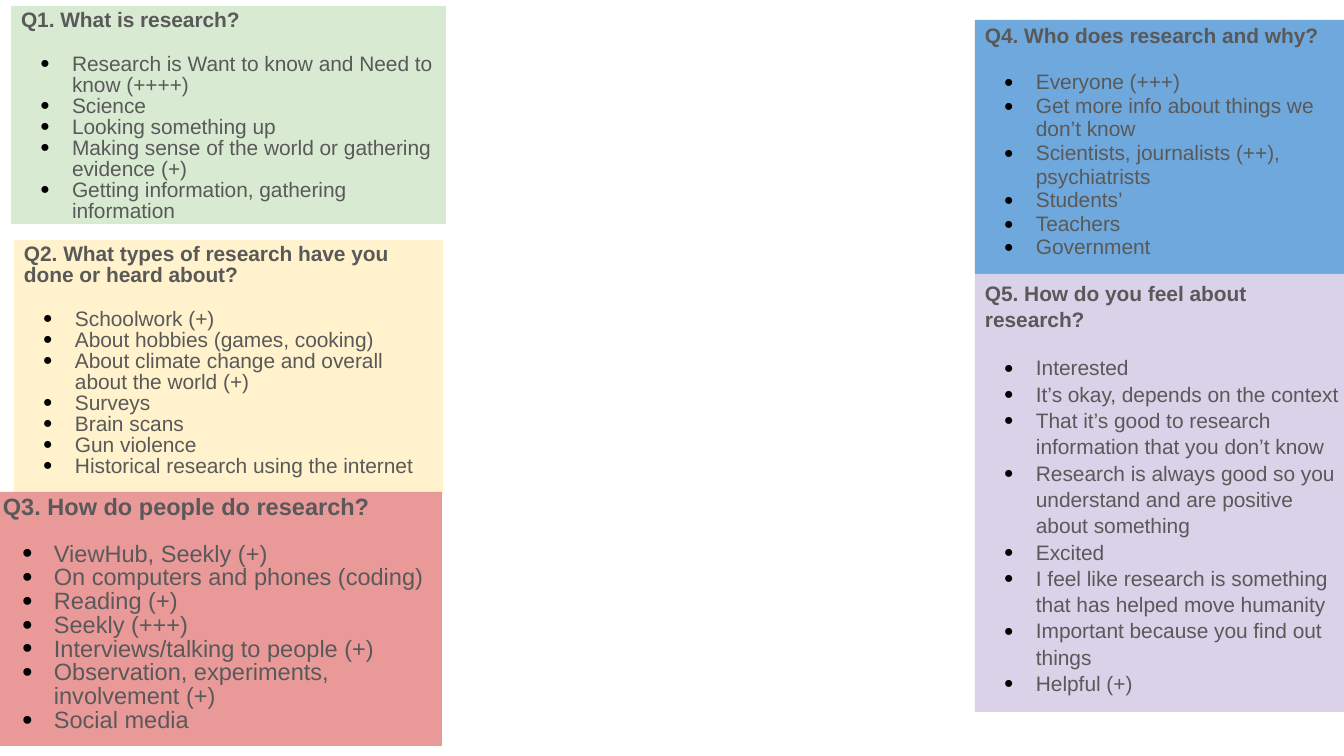
import pptx
import pptx.dml.color
import pptx.enum.shapes
import pptx.enum.text
import pptx.util
from lxml import etree
from pptx.oxml.ns import qn

PX = 914400 / 134.4
COLORS = {
    "text": "595959", "bullet": "000000", "green": "D9EAD3", "yellow": "FFF2CC",
    "red": "EA9999", "blue": "6FA8DC", "purple": "D9D2E9",
}

# Question cards: box is left, top, width, height in px
QUESTIONS = [
    {"box": (11, 6, 435, 218), "fill": "green", "size": 11.2, "spacing": 0.84,
     "question": "Q1. What is research?",
     "answers": [
         "Research is Want to know and Need to know (++++)",
         "Science",
         "Looking something up",
         "Making sense of the world or gathering evidence (+)",
         "Getting information, gathering information"]},
    {"box": (14, 240, 429, 254), "fill": "yellow", "size": 11.2, "spacing": 0.84,
     "question": "Q2. What types of research have you done or heard about?",
     "answers": [
         "Schoolwork (+)",
         "About hobbies (games, cooking)",
         "About climate change and overall about the world (+)",
         "Surveys",
         "Brain scans",
         "Gun violence",
         "Historical research using the internet"]},
    {"box": (-7, 492, 449, 254), "fill": "red", "size": 12.6, "spacing": 0.84,
     "question": "Q3. How do people do research?",
     "answers": [
         "ViewHub, Seekly (+)",
         "On computers and phones (coding)",
         "Reading (+)",
         "Seekly (+++)",
         "Interviews/talking to people (+)",
         "Observation, experiments, involvement (+)",
         "Social media"]},
    {"box": (975, 20, 374, 254), "fill": "blue", "size": 11.2, "spacing": 0.94,
     "question": "Q4. Who does research and why?",
     "answers": [
         "Everyone (+++)",
         "Get more info about things we don’t know",
         "Scientists, journalists (++), psychiatrists",
         "Students’",
         "Teachers",
         "Government"]},
    {"box": (975, 274, 374, 438), "fill": "purple", "size": 11.2, "spacing": 1.05,
     "question": "Q5. How do you feel about research?",
     "answers": [
         "Interested",
         "It’s okay, depends on the context",
         "That it’s good to research information that you don’t know",
         "Research is always good so you understand and are positive about something",
         "Excited",
         "I feel like research is something that has helped move humanity",
         "Important because you find out things",
         "Helpful (+)"]},
]


def px(length):
    return pptx.util.Emu(round(length * PX))


def rgb(name):
    return pptx.dml.color.RGBColor.from_string(COLORS[name])


def add_bullet(paragraph):
    properties = paragraph._p.get_or_add_pPr()
    properties.set("marL", str(px(51)))
    properties.set("indent", str(px(-32)))
    color = etree.SubElement(properties, qn("a:buClr"))
    etree.SubElement(color, qn("a:srgbClr"), val=COLORS["bullet"])
    etree.SubElement(properties, qn("a:buSzPct"), val="78000")
    etree.SubElement(properties, qn("a:buFont"), typeface="Arial")
    etree.SubElement(properties, qn("a:buChar"), char="●")


def write(paragraph, text, size, spacing, before=0, bold=False, bullet=False):
    paragraph.alignment = pptx.enum.text.PP_ALIGN.LEFT
    paragraph.line_spacing = spacing
    paragraph.space_before = pptx.util.Pt(before)
    if bullet:
        add_bullet(paragraph)
    run = paragraph.add_run()
    run.text = text
    run.font.name = "Arial"
    run.font.size = pptx.util.Pt(size)
    run.font.bold = bold
    run.font.color.rgb = rgb("text")


def add_card(slide, card):
    panel = slide.shapes.add_shape(
        pptx.enum.shapes.MSO_SHAPE.RECTANGLE, *map(px, card["box"]))
    panel.shadow.inherit = False
    panel.fill.solid()
    panel.fill.fore_color.rgb = rgb(card["fill"])
    panel.line.fill.background()

    frame = panel.text_frame
    frame.word_wrap = True
    frame.vertical_anchor = pptx.enum.text.MSO_ANCHOR.TOP
    frame.margin_left = frame.margin_right = px(10)
    frame.margin_top = frame.margin_bottom = px(5)

    # Bold question, then its answers set off by one gap
    style = {"size": card["size"], "spacing": card["spacing"]}
    write(frame.paragraphs[0], card["question"], bold=True, **style)
    for index, answer in enumerate(card["answers"]):
        write(frame.add_paragraph(), answer, bullet=True,
              before=12 if index == 0 else 0, **style)


def main():
    deck = pptx.Presentation()
    deck.slide_width, deck.slide_height = px(1344), px(756)
    slide = deck.slides.add_slide(deck.slide_layouts[6])
    for card in QUESTIONS:
        add_card(slide, card)
    deck.save("out.pptx")


if __name__ == "__main__":
    main()
